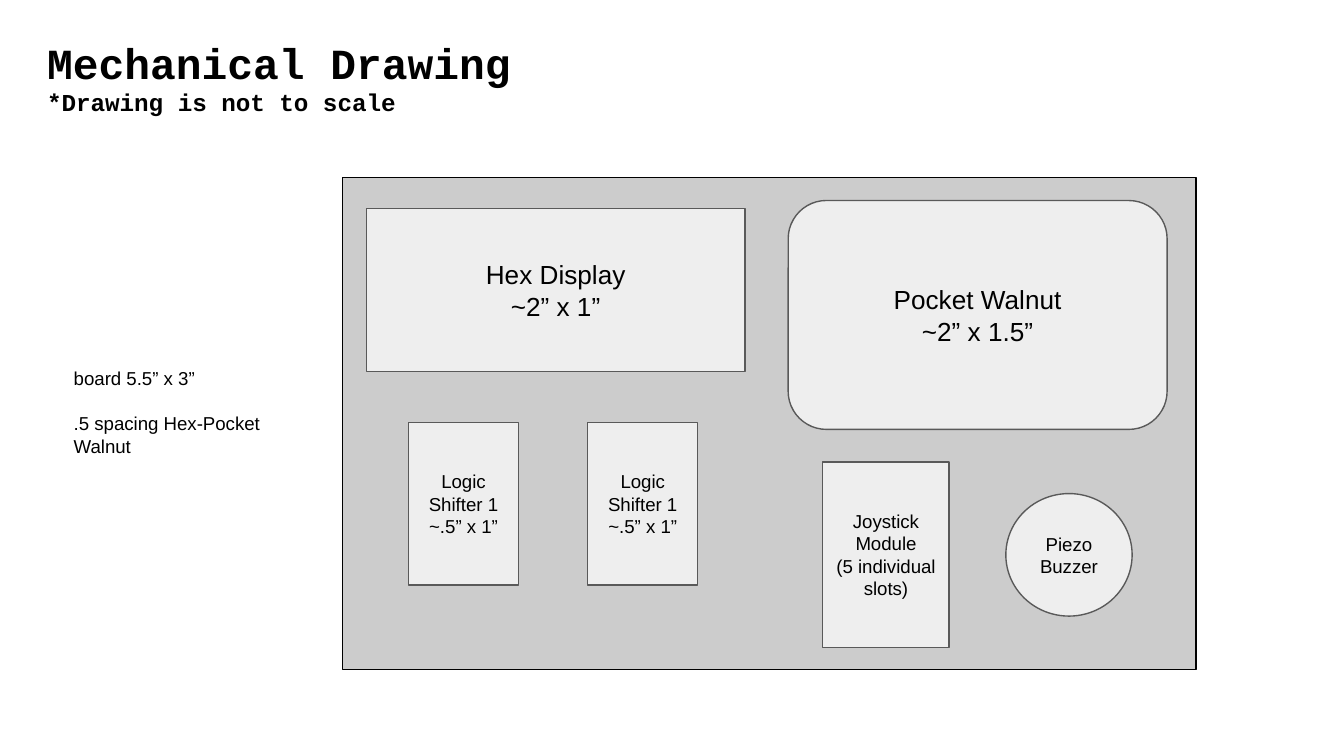
import pptx
import pptx.util
import pptx.dml.color
import pptx.enum.shapes
import pptx.enum.text

COLORS = {"ink": "000000", "board": "CCCCCC", "part": "EEEEEE", "outline": "595959"}
SHAPES = pptx.enum.shapes.MSO_SHAPE
ALIGN = pptx.enum.text.PP_ALIGN
ANCHOR = pptx.enum.text.MSO_ANCHOR
WIDTH = 10
HEIGHT = WIDTH * 9 / 16


def color(name):
    return pptx.dml.color.RGBColor.from_string(COLORS[name])


def place(box, left, top, width, height):
    box_left, box_top, box_width, box_height = box
    return (
        box_left + box_width * left / 100,
        box_top + box_height * top / 100,
        box_width * width / 100,
        box_height * height / 100,
    )


def inches(box):
    return [pptx.util.Inches(length) for length in box]


def write(shape, text, sizes, font="Arial", bold=False, align=ALIGN.LEFT,
          anchor=ANCHOR.TOP, gap=0):
    frame = shape.text_frame
    frame.text = text
    frame.word_wrap = True
    frame.auto_size = pptx.enum.text.MSO_AUTO_SIZE.NONE
    frame.vertical_anchor = anchor
    frame.margin_left = frame.margin_right = pptx.util.Inches(0.1)
    frame.margin_top = frame.margin_bottom = pptx.util.Inches(0.1)
    for index, paragraph in enumerate(frame.paragraphs):
        paragraph.alignment = align
        paragraph.space_before = pptx.util.Pt(gap if index else 0)
        paragraph.font.name = font
        paragraph.font.size = pptx.util.Pt(sizes[min(index, len(sizes) - 1)])
        paragraph.font.bold = bold
        paragraph.font.color.rgb = color("ink")


def add_block(slide, box, kind, fill, line):
    shape = slide.shapes.add_shape(kind, *inches(box))
    shape.shadow.inherit = False
    shape.fill.solid()
    shape.fill.fore_color.rgb = color(fill)
    shape.line.color.rgb = color(line)
    shape.line.width = pptx.util.Pt(0.75)
    return shape


def add_title(slide, box):
    title = slide.shapes.title
    title.left, title.top, title.width, title.height = inches(box)
    write(title, "Mechanical Drawing\n*Drawing is not to scale", [23, 13],
          font="Courier New", bold=True)


def add_notes(slide, box):
    notes = slide.shapes.add_textbox(*inches(box))
    write(notes, "board 5.5” x 3”\n.5 spacing Hex-Pocket Walnut", [10], gap=12)


def add_board(slide, box):
    add_block(slide, box, SHAPES.RECTANGLE, "board", "ink")
    module_width, module_height = 44.4, 33.1
    shifter_left, shifter_step = 7.7, 21
    shifters = [
        (SHAPES.RECTANGLE, (shifter_left + shifter_step * column, 49.7, 12.9, module_height),
         "Logic Shifter 1\n~.5” x 1”", 10)
        for column in range(2)
    ]
    parts = [
        (SHAPES.RECTANGLE, (2.75, 6.25, module_width, module_height),
         "Hex Display\n~2” x 1”", 14),
        (SHAPES.RECTANGLE, (56.25, 57.75, 14.8, 37.7),
         "Joystick Module\n(5 individual slots)", 10),
        (SHAPES.OVAL, (77.7, 64.2, 14.8, 24.9), "Piezo Buzzer", 10),
        *shifters,
        (SHAPES.ROUNDED_RECTANGLE, (52.2, 4.65, module_width, 46.5),
         "Pocket Walnut\n~2” x 1.5”", 14),
    ]
    for kind, shares, text, size in parts:
        part = add_block(slide, place(box, *shares), kind, "part", "outline")
        write(part, text, [size], align=ALIGN.CENTER, anchor=ANCHOR.MIDDLE)


def main():
    presentation = pptx.Presentation()
    presentation.slide_width = pptx.util.Inches(WIDTH)
    presentation.slide_height = pptx.util.Inches(HEIGHT)
    slide = presentation.slides.add_slide(presentation.slide_layouts.get_by_name("Title Only"))
    page = (0, 0, WIDTH, HEIGHT)
    add_title(slide, place(page, 2.5, 3, 94.3, 11.2))
    add_board(slide, place(page, 25.5, 23.5, 63.5, 65.1))
    add_notes(slide, place(page, 4.5, 46.8, 16.1, 22.2))
    presentation.save("out.pptx")


if __name__ == "__main__":
    main()
